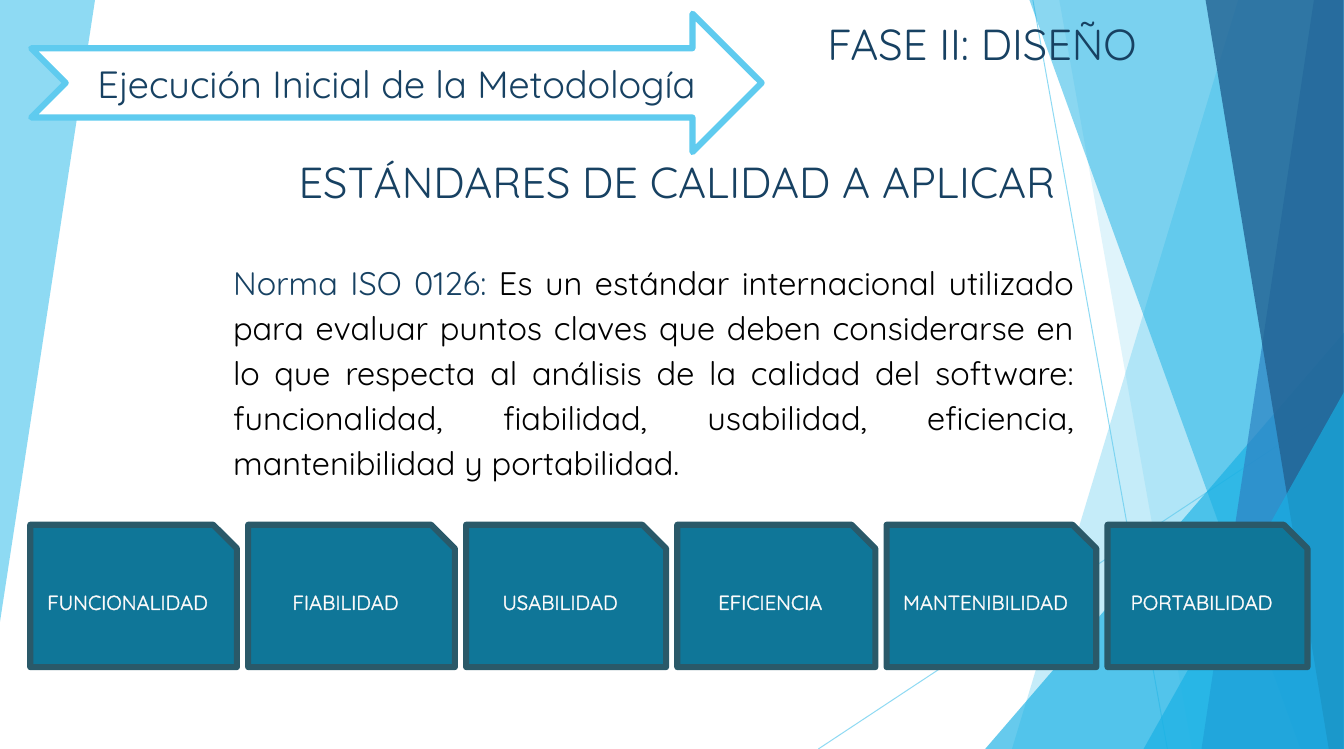
from lxml.etree import SubElement
from pptx import Presentation
from pptx.dml.color import RGBColor
from pptx.enum.shapes import MSO_CONNECTOR, MSO_SHAPE
from pptx.enum.text import MSO_ANCHOR, MSO_AUTO_SIZE, PP_ALIGN
from pptx.oxml.ns import qn
from pptx.util import Pt

FONT = "Quicksand"
COLOURS = {
    "sky": "5FCBEF",
    "cyan": "17B0E4",
    "blue": "2E83C3",
    "navy": "226292",
    "ink": "174162",
    "card": "0F7698",
    "card_edge": "2A5969",
    "letter_edge": "F2F2F2",
    "white": "FFFFFF",
    "black": "000000",
}
WIDTH, HEIGHT = 992.16, 552.96


def paint(fill, owner, colour, opacity=100):
    fill.solid()
    fill.fore_color.rgb = RGBColor.from_string(COLOURS[colour])
    if opacity < 100:
        tint = owner.element.xpath("./p:spPr//a:srgbClr")[0]
        SubElement(tint, qn("a:alpha")).set("val", str(opacity * 1000))


def write(shape, text, size, colour="ink", align=PP_ALIGN.CENTER, anchor=MSO_ANCHOR.TOP):
    frame = shape.text_frame
    frame.word_wrap = True
    frame.auto_size = MSO_AUTO_SIZE.NONE
    frame.vertical_anchor = anchor
    para = frame.paragraphs[0]
    para.alignment = align
    span = para.add_run()
    span.text = text
    span.font.size = Pt(size)
    span.font.name = FONT
    span.font.color.rgb = RGBColor.from_string(COLOURS[colour])
    return span


deck = Presentation()
deck.slide_width = Pt(WIDTH)
deck.slide_height = Pt(HEIGHT)
page = deck.slides.add_slide(deck.slide_layouts[1])
page.background.fill.solid()
page.background.fill.fore_color.rgb = RGBColor.from_string(COLOURS["white"])

decorations = [
    ("outline", [(0, 0), (70.5, 0), (70.5, 0.7), (0, 458.6)], "sky", 70),
    ("line", [(762.5, 0), (861.8, HEIGHT)], "sky", 70),
    ("line", [(WIDTH, 296.6), (604.1, HEIGHT)], "sky", 70),
    ("outline", [(913.7, 0), (WIDTH, 0), (WIDTH, HEIGHT), (747.4, HEIGHT)], "sky", 36),
    ("outline", [(781.6, 0), (WIDTH, 0), (WIDTH, HEIGHT), (879.8, HEIGHT)], "sky", 20),
    ("triangle", [(727.2, 245.5), (WIDTH, HEIGHT)], "cyan", 66),
    ("outline", [(759.6, 0), (WIDTH, 0), (WIDTH, HEIGHT), (960.5, HEIGHT)], "cyan", 50),
    ("outline", [(969.8, 0), (WIDTH, 0), (WIDTH, HEIGHT), (887, HEIGHT)], "blue", 70),
    ("outline", [(890.2, 0), (WIDTH, 0), (WIDTH, HEIGHT), (980.6, HEIGHT)], "navy", 80),
    ("triangle", [(844.2, 289.4), (WIDTH, HEIGHT)], "cyan", 66),
]
for kind, points, colour, opacity in decorations:
    left, top = points[0]
    right, bottom = points[1]
    if kind == "line":
        ray = page.shapes.add_connector(
            MSO_CONNECTOR.STRAIGHT, Pt(left), Pt(top), Pt(right), Pt(bottom)
        )
        ray.line.width = Pt(0.75)
        paint(ray.line.fill, ray, colour, opacity)
        SubElement(ray.element.spPr, qn("a:effectLst"))
        continue
    if kind == "triangle":
        facet = page.shapes.add_shape(
            MSO_SHAPE.ISOSCELES_TRIANGLE, Pt(left), Pt(top), Pt(right - left), Pt(bottom - top)
        )
        facet.adjustments[0] = 1
    else:
        builder = page.shapes.build_freeform(left, top, scale=Pt(1))
        builder.add_line_segments(points[1:], close=True)
        facet = builder.convert_to_shape()
    paint(facet.fill, facet, colour, opacity)
    facet.line.fill.background()
    facet.shadow.inherit = False

banner = page.shapes.add_shape(
    MSO_SHAPE.NOTCHED_RIGHT_ARROW, Pt(23), Pt(10.1), Pt(539.3), Pt(102.2)
)
paint(banner.fill, banner, "white")
paint(banner.line.fill, banner, "sky")
banner.line.width = Pt(4.5)
banner.shadow.inherit = False
write(banner, "Ejecución Inicial de la Metodología", 28, anchor=MSO_ANCHOR.MIDDLE)

phase = page.shapes.add_textbox(Pt(583.2), Pt(9.4), Pt(283.7), Pt(46))
write(phase, "FASE II: DISEÑO", 32)

title = page.shapes.title
title.left, title.top, title.width, title.height = Pt(177.8), Pt(110.9), Pt(644.4), Pt(46)
write(title, "ESTÁNDARES DE CALIDAD A APLICAR", 32)

body = page.placeholders[1]
body.left, body.top, body.width, body.height = Pt(164.9), Pt(186.5), Pt(635), Pt(171.4)
definition = body.text_frame.paragraphs[0]
properties = definition._p.get_or_add_pPr()
properties.set("marL", "0")
properties.set("indent", "0")
SubElement(properties, qn("a:buNone"))
definition.line_spacing = 1.15
definition.space_before = Pt(0)
definition.space_after = Pt(10)
write(body, "Norma ISO 0126: ", 24, align=PP_ALIGN.JUSTIFY)
write(
    body,
    "Es un estándar internacional utilizado para evaluar puntos claves que deben "
    "considerarse en lo que respecta al análisis de la calidad del software: "
    "funcionalidad, fiabilidad, usabilidad, eficiencia, mantenibilidad y portabilidad.",
    24,
    colour="black",
    align=PP_ALIGN.JUSTIFY,
)

qualities = [
    ("FUNCIONALIDAD", 152.6),
    ("FIABILIDAD", 152.6),
    ("USABILIDAD", 147.6),
    ("EFICIENCIA", 146.2),
    ("MANTENIBILIDAD", 154.8),
    ("PORTABILIDAD", 147.6),
]
card_left, card_gap = 22.3, 8.3
for quality, card_width in qualities:
    card = page.shapes.add_shape(
        MSO_SHAPE.SNIP_1_RECTANGLE, Pt(card_left), Pt(387.4), Pt(card_width), Pt(105.1)
    )
    paint(card.fill, card, "card")
    paint(card.line.fill, card, "card_edge")
    card.line.width = Pt(4.5)
    card.shadow.inherit = False
    span = write(card, quality, 15, colour="white", anchor=MSO_ANCHOR.MIDDLE)
    letters = span._r.get_or_add_rPr()
    edge = SubElement(letters, qn("a:ln"))
    edge.set("w", str(Pt(0.25)))
    edge_fill = SubElement(edge, qn("a:solidFill"))
    SubElement(edge_fill, qn("a:srgbClr")).set("val", COLOURS["letter_edge"])
    letters.insert(0, edge)
    card_left += card_width + card_gap

deck.save("out.pptx")
